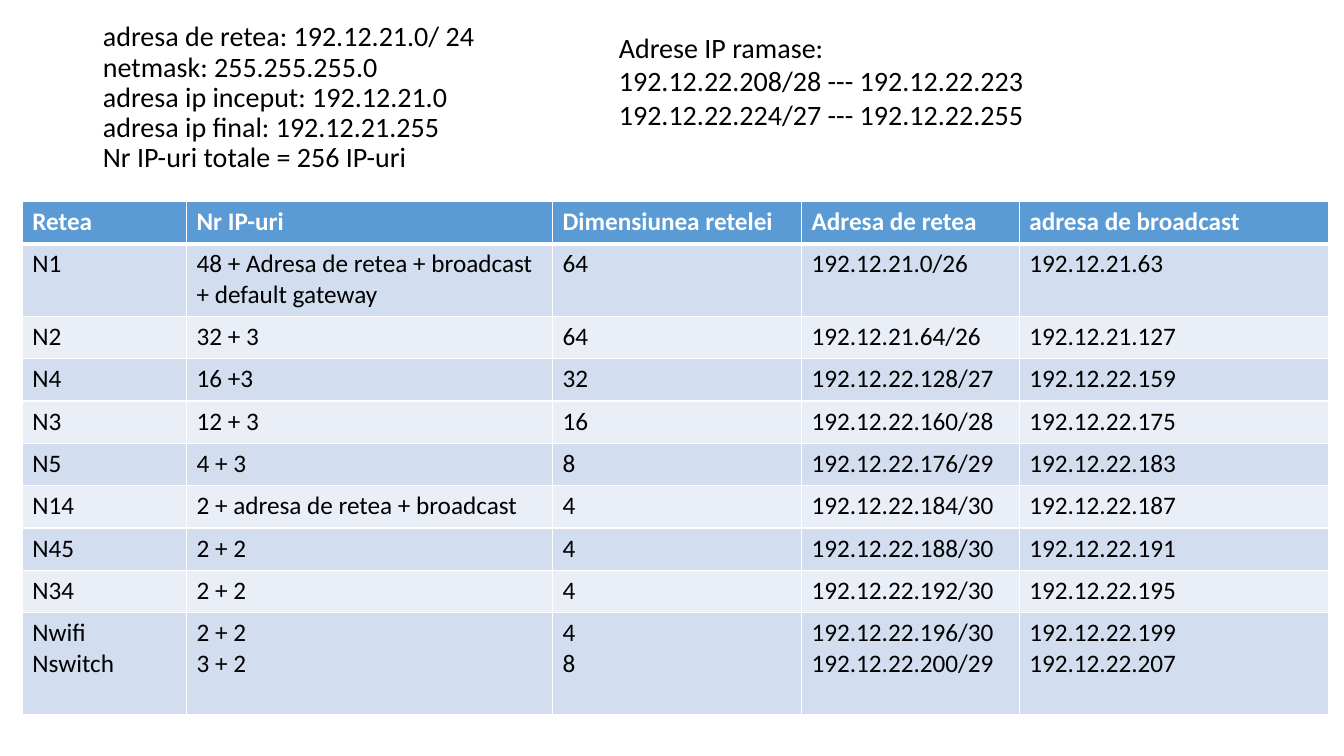
from dataclasses import dataclass

from lxml import etree
from pptx import Presentation
from pptx.dml.color import RGBColor
from pptx.enum.text import MSO_ANCHOR, MSO_AUTO_SIZE, PP_ALIGN
from pptx.oxml.ns import qn
from pptx.util import Emu, Pt

LEFT = PP_ALIGN.LEFT
TOP = MSO_ANCHOR.TOP
MIDDLE = MSO_ANCHOR.MIDDLE
NO_AUTOFIT = MSO_AUTO_SIZE.NONE
FIT_SHAPE = MSO_AUTO_SIZE.SHAPE_TO_FIT_TEXT
TITLE_ONLY = 5
EMU_PER_PX = 9144
FONT = "Calibri"
COLORS = {
    "text": "000000",
    "white": "FFFFFF",
    "header": "5B9BD5",
    "dark_band": "D2DEEF",
    "light_band": "EAEFF7",
}


@dataclass(frozen=True)
class Area:
    left: int
    top: int
    width: int
    height: int

    def emu(self) -> list[Emu]:
        return [px(n) for n in (self.left, self.top, self.width, self.height)]


@dataclass(frozen=True)
class Network:
    name: str
    ip_count: str
    size: str
    address: str
    broadcast: str

    def values(self) -> tuple[str, ...]:
        return self.name, self.ip_count, self.size, self.address, self.broadcast


TITLE_AREA = Area(92, 40, 512, 145)
REMAINING_AREA = Area(604, 25, 667, 111)
TABLE_AREA = Area(22, 200, 1296, 509)
COLUMN_WIDTHS = (163, 363, 247, 216, 307)
ROW_HEIGHT = 42
TALL_ROWS = {1: 72, 9: 101}

TITLE = """adresa de retea: 192.12.21.0/ 24
netmask: 255.255.255.0
adresa ip inceput: 192.12.21.0
adresa ip final: 192.12.21.255
Nr IP-uri totale = 256 IP-uri"""
REMAINING = """Adrese IP ramase:
192.12.22.208/28 --- 192.12.22.223
192.12.22.224/27 --- 192.12.22.255"""
NETWORKS = (
    Network("Retea", "Nr IP-uri", "Dimensiunea retelei", "Adresa de retea", "adresa de broadcast"),
    Network("N1", "48 + Adresa de retea + broadcast + default gateway", "64",
            "192.12.21.0/26", "192.12.21.63"),
    Network("N2", "32 + 3", "64", "192.12.21.64/26", "192.12.21.127"),
    Network("N4", "16 +3", "32", "192.12.22.128/27", "192.12.22.159"),
    Network("N3", "12 + 3", "16", "192.12.22.160/28", "192.12.22.175"),
    Network("N5", "4 + 3", "8", "192.12.22.176/29", "192.12.22.183"),
    Network("N14", "2 + adresa de retea + broadcast", "4", "192.12.22.184/30", "192.12.22.187"),
    Network("N45", "2 + 2", "4", "192.12.22.188/30", "192.12.22.191"),
    Network("N34", "2 + 2", "4", "192.12.22.192/30", "192.12.22.195"),
    Network("Nwifi\nNswitch", "2 + 2\n3 + 2", "4\n8",
            "192.12.22.196/30\n192.12.22.200/29", "192.12.22.199\n192.12.22.207"),
)


def px(length: int) -> Emu:
    return Emu(length * EMU_PER_PX)


def write_text(frame, text: str, *, size: int, color: str = "text", bold: bool = False,
               spacing: float = 1.0, anchor=TOP) -> None:
    """Newlines start paragraphs; vertical tabs become line breaks."""
    frame.word_wrap = True
    frame.vertical_anchor = anchor
    frame.text = text
    for para in frame.paragraphs:
        para.alignment = LEFT
        para.line_spacing = spacing
        for span in para.runs:
            span.font.name = FONT
            span.font.size = Pt(size)
            span.font.bold = bold
            span.font.color.rgb = RGBColor.from_string(COLORS[color])


def add_border(cell, side: str, points: int) -> None:
    properties = cell._tc.get_or_add_tcPr()
    line = etree.SubElement(properties, qn(f"a:ln{side}"), w=str(Pt(points)))
    fill = etree.SubElement(line, qn("a:solidFill"))
    etree.SubElement(fill, qn("a:srgbClr"), val=COLORS["white"])


def format_cell(cell, text: str, row_index: int) -> None:
    is_header = row_index == 0
    write_text(cell.text_frame, text, size=18, bold=is_header,
               color="white" if is_header else "text")
    for side in "LRTB":
        header_edge = (row_index, side) in ((0, "B"), (1, "T"))
        add_border(cell, side, 3 if header_edge else 1)
    band = "header" if is_header else ("light_band", "dark_band")[row_index % 2]
    cell.fill.solid()
    cell.fill.fore_color.rgb = RGBColor.from_string(COLORS[band])


def add_network_table(page) -> None:
    table = page.shapes.add_table(len(NETWORKS), len(COLUMN_WIDTHS), *TABLE_AREA.emu()).table
    for column, width in zip(table.columns, COLUMN_WIDTHS):
        column.width = px(width)
    for row_index, network in enumerate(NETWORKS):
        table.rows[row_index].height = px(TALL_ROWS.get(row_index, ROW_HEIGHT))
        for column_index, text in enumerate(network.values()):
            format_cell(table.cell(row_index, column_index), text, row_index)


def add_title(page) -> None:
    title = page.shapes.title
    title.left, title.top, title.width, title.height = TITLE_AREA.emu()
    frame = title.text_frame
    frame.auto_size = NO_AUTOFIT
    frame.margin_bottom = px(35)
    write_text(frame, TITLE.replace("\n", "\v"), size=20, spacing=0.9, anchor=MIDDLE)


def add_remaining_addresses(page) -> None:
    box = page.shapes.add_textbox(*REMAINING_AREA.emu())
    box.text_frame.auto_size = FIT_SHAPE
    write_text(box.text_frame, REMAINING, size=20)


def main() -> None:
    deck = Presentation()
    deck.slide_width, deck.slide_height = px(1333), px(750)
    page = deck.slides.add_slide(deck.slide_layouts[TITLE_ONLY])
    add_title(page)
    add_network_table(page)
    add_remaining_addresses(page)
    deck.save("out.pptx")


if __name__ == "__main__":
    main()
